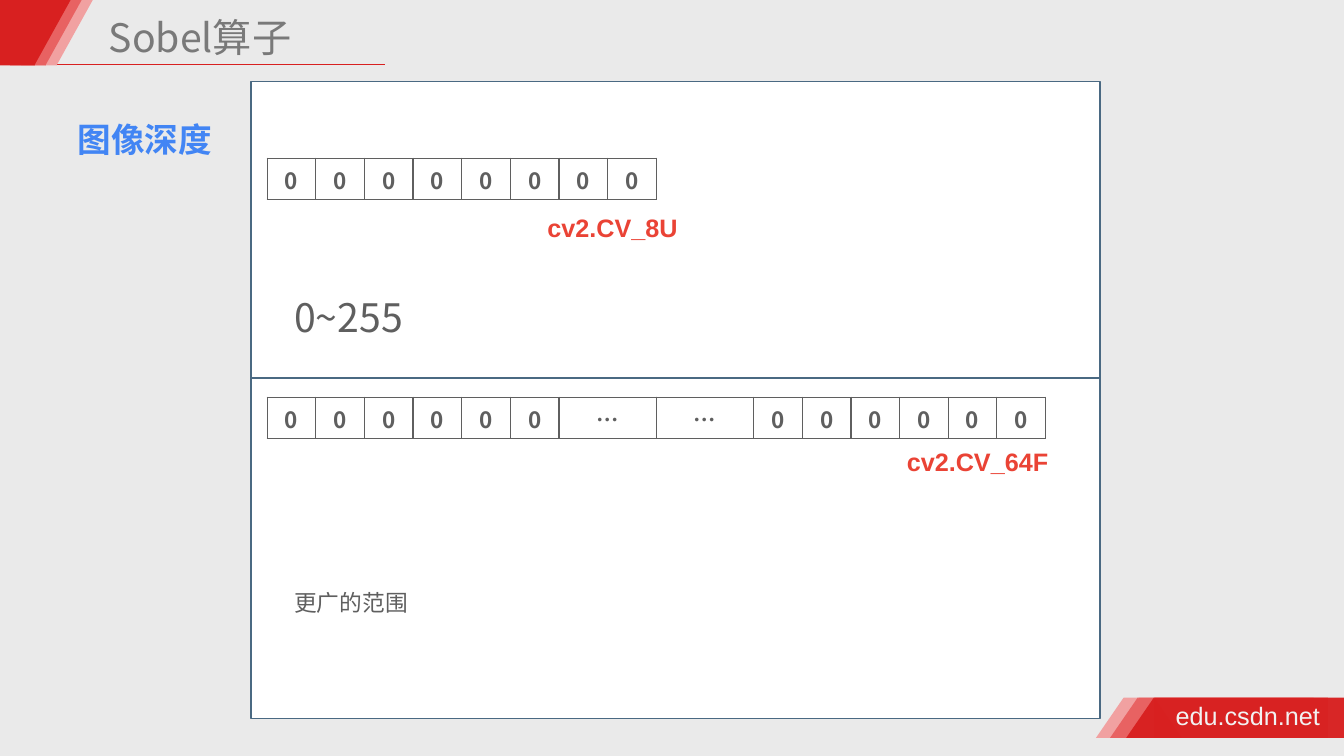
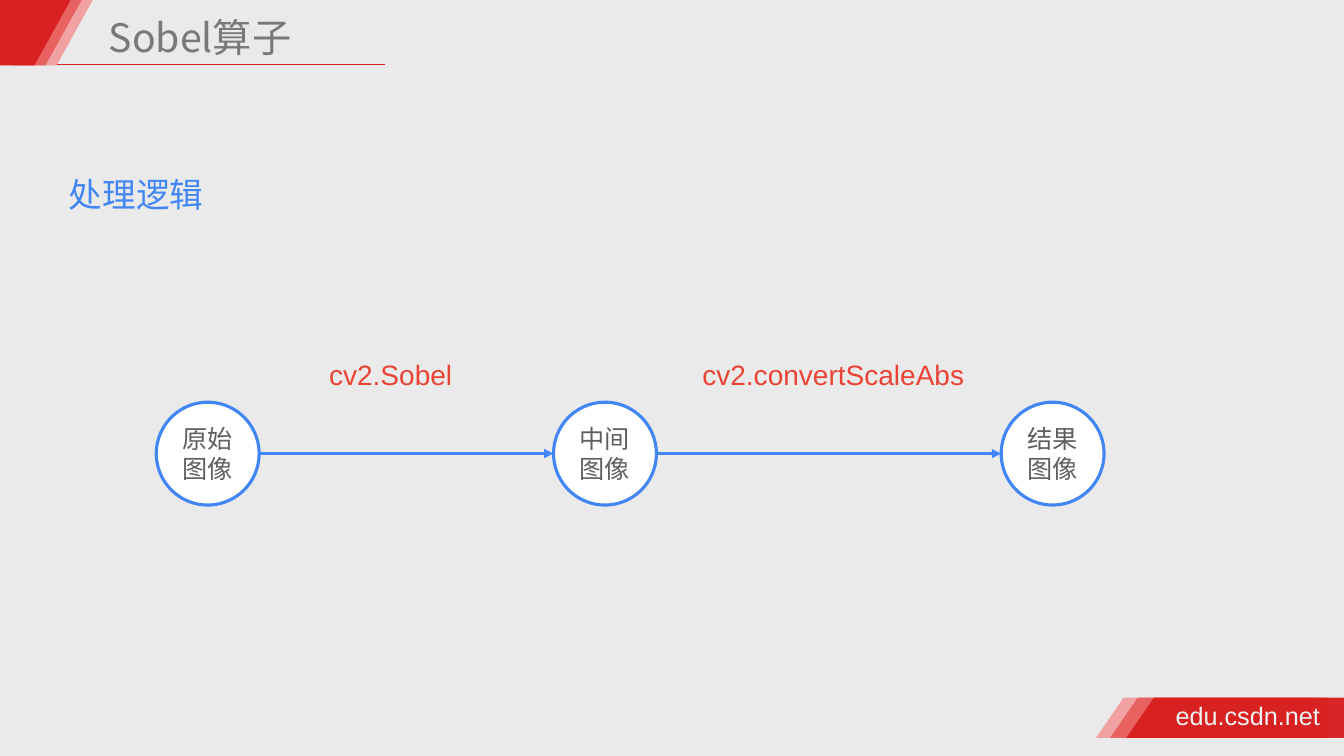
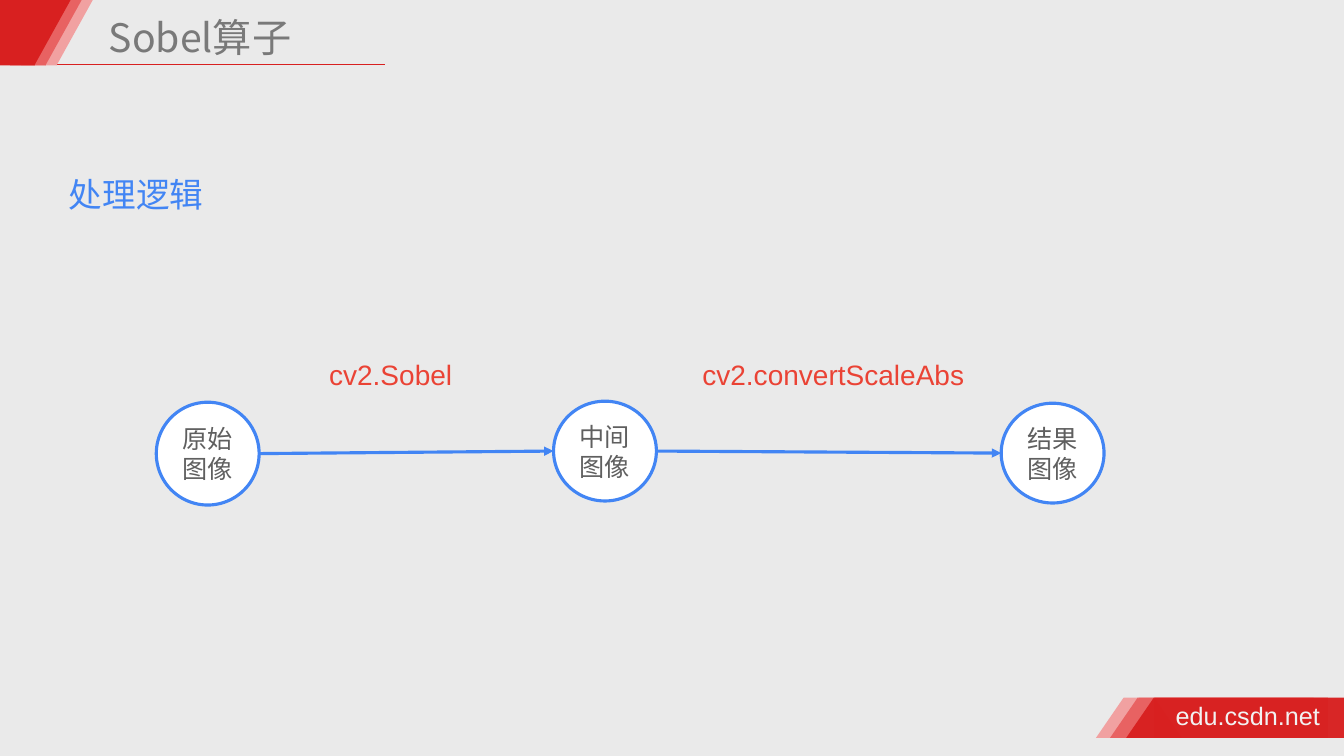
from typing import NamedTuple, Optional

from pptx import Presentation
from pptx.dml.color import RGBColor
from pptx.enum.shapes import MSO_CONNECTOR, MSO_SHAPE
from pptx.enum.text import MSO_ANCHOR, MSO_AUTO_SIZE, PP_ALIGN
from pptx.oxml.ns import qn
from pptx.util import Inches, Pt
from lxml.etree import SubElement

HEX = {
    "page": "EAEAEA", "white": "FFFFFF", "red": "D82020", "rose": "E86262",
    "pink": "F1A1A1", "pale": "F2F2F2", "title": "797979", "gray": "5F5F5F",
    "slate": "4A6982", "blue": "4285F4", "code": "EA4335",
}
CJK, LATIN = "Noto Sans CJK SC", "Arial"
TITLE = "Sobel算子"
BIT = 3.86 / 8  # width of one bit cell


class Box(NamedTuple):
    left: float
    top: float
    width: float
    height: float


class Node(NamedTuple):
    text: str
    box: Box

    @property
    def mid(self) -> float:
        return self.box.top + self.box.height / 2


class Bits(NamedTuple):
    left: float
    top: float
    text: str


def tint(name: str) -> RGBColor:
    return RGBColor.from_string(HEX[name])


def inch(box: Box) -> list:
    return [Inches(value) for value in box]


# Text
def write(frame, text: str, *, size: float, color: str, face: str = CJK,
          bold: bool = False, align=PP_ALIGN.LEFT, space: float = 1,
          base: int = 0, inset: Optional[float] = None,
          anchor=MSO_ANCHOR.TOP) -> None:
    frame.vertical_anchor = anchor
    if inset is not None:
        frame.margin_left = frame.margin_right = Inches(inset)
        frame.margin_top = frame.margin_bottom = Inches(inset)
    para = frame.paragraphs[0]
    para.alignment = align
    para.line_spacing = space
    run = para.add_run()
    run.text = text
    font = run.font
    font.size, font.bold, font.name = Pt(size), bold, face
    font.color.rgb = tint(color)
    props = run._r.get_or_add_rPr()
    SubElement(props, qn("a:ea")).set("typeface", face)
    if base:
        props.set("baseline", str(base * 1000))


def label(slide, box: Box, text: str, wrap: bool = True, **style):
    shape = slide.shapes.add_textbox(*inch(box))
    frame = shape.text_frame
    frame.word_wrap = wrap
    frame.auto_size = MSO_AUTO_SIZE.SHAPE_TO_FIT_TEXT
    write(frame, text, **style)
    return shape


# Shapes and lines
def draw(slide, kind, box: Box, fill: str, line: str = "",
         width: float = 1, alpha: int = 100):
    shape = slide.shapes.add_shape(kind, *inch(box))
    shape.shadow.inherit = False
    shape.fill.solid()
    shape.fill.fore_color.rgb = tint(fill)
    if alpha < 100:
        color = shape.element.spPr.find(qn("a:solidFill"))[0]
        SubElement(color, qn("a:alpha")).set("val", str(alpha * 1000))
    if line:
        shape.line.color.rgb = tint(line)
        shape.line.width = Pt(width)
    else:
        shape.line.fill.background()
    return shape


def link(slide, start: tuple, end: tuple, color: str, width: float,
         arrow: bool = False):
    points = [Inches(value) for value in (*start, *end)]
    line = slide.shapes.add_connector(MSO_CONNECTOR.STRAIGHT, *points)
    line.line.color.rgb = tint(color)
    line.line.width = Pt(width)
    props = line.element.spPr
    if arrow:
        SubElement(props.find(qn("a:ln")), qn("a:tailEnd")).set("type", "triangle")
    SubElement(props, qn("a:effectLst"))
    return line


# Shared frame: title band and footer, kept on the layout
def brand(slide, layout) -> None:
    parts = [link(slide, (0.49, 0.64), (3.82, 0.64), "red", 1)]
    bands = (("pink", 11.15, 0.2, 100), ("rose", 11.29, 0.09, 100),
             ("red", 11.45, -0.02, 97))
    for color, foot, _, alpha in bands:
        parts += [
            draw(slide, MSO_SHAPE.RECTANGLE, Box(foot, 6.92, 1.88, 0.4),
                 color, alpha=alpha),
            draw(slide, MSO_SHAPE.ISOSCELES_TRIANGLE,
                 Box(foot - 0.28, 6.92, 0.55, 0.4), color, alpha=alpha),
        ]
    for color, _, head, _ in bands:
        wedge = draw(slide, MSO_SHAPE.ISOSCELES_TRIANGLE,
                     Box(head, 0, 0.72, 0.65), color)
        wedge.rotation = 180
        parts += [draw(slide, MSO_SHAPE.RECTANGLE,
                       Box(head + 0.01, 0, 0.35, 0.65), color), wedge]
    parts.append(label(slide, Box(11.61, 6.9, 1.55, 0.4), "edu.csdn.net",
                       wrap=False, size=18, color="pale", face=LATIN,
                       inset=0.05))
    tree = layout.placeholders[0].element.getparent()
    for part in parts:
        tree.append(part.element)


def setup(deck):
    deck.slide_width, deck.slide_height = Inches(13.33), Inches(7.5)
    back = deck.slide_master.background.fill
    back.solid()
    back.fore_color.rgb = tint("page")
    layout = deck.slide_layouts[5]
    for spot in list(layout.placeholders):
        if spot.placeholder_format.idx:
            spot.element.getparent().remove(spot.element)
    head = layout.placeholders[0]
    head.left, head.top, head.width, head.height = inch(
        Box(1.03, 0.13, 3.09, 0.65))
    return layout


def start(deck, layout):
    slide = deck.slides.add_slide(layout)
    frame = slide.shapes.title.text_frame
    frame.auto_size = MSO_AUTO_SIZE.NONE
    write(frame, TITLE, size=28, color="title", space=0.9, inset=0.05)
    return slide


# Bit rows
def edge(cell) -> None:
    props = cell._tc.get_or_add_tcPr()
    for side in ("lnL", "lnR", "lnT", "lnB"):
        line = SubElement(props, qn(f"a:{side}"))
        line.set("w", str(Pt(1)))
        fill = SubElement(line, qn("a:solidFill"))
        SubElement(fill, qn("a:srgbClr")).set("val", HEX["gray"])


def grid(slide, bits: Bits) -> None:
    box = Box(bits.left, bits.top, 3.86, 0.41)
    table = slide.shapes.add_table(1, len(bits.text), *inch(box)).table
    table.first_row = table.horz_banding = False
    for col, mark in enumerate(bits.text):
        table.columns[col].width = Inches(BIT * (2 if mark == "…" else 1))
        cell = table.cell(0, col)
        edge(cell)
        cell.fill.background()
        cell.vertical_anchor = MSO_ANCHOR.MIDDLE
        write(cell.text_frame, mark, size=16, color="gray", bold=True,
              align=PP_ALIGN.CENTER, anchor=None)


# Image depth slide
def depth(slide) -> None:
    for top in (0.81, 3.75):
        draw(slide, MSO_SHAPE.RECTANGLE, Box(2.49, top, 8.42, 3.38),
             "white", "slate")
    label(slide, Box(0.67, 0.93, 2.15, 0.64), "图像深度", size=24,
          color="blue", bold=True, space=1.5)
    for bits in (Bits(2.65, 1.57, "0" * 8),
                 Bits(2.65, 3.94, "0" * 6 + "…"),
                 Bits(6.51, 3.94, "…" + "0" * 6)):
        grid(slide, bits)
    for text, left, top in (("cv2.CV_64F", 8.87, 4.38),
                            ("cv2.CV_8U", 5.25, 2.06)):
        label(slide, Box(left, top, 1.65, 0.4), text, size=18, color="code",
              face=LATIN, bold=True, align=PP_ALIGN.CENTER)
    for text, top, high, base in (("更广的范围", 5.51, 0.52, 30),
                                  ("0~255", 2.63, 0.72, 0)):
        label(slide, Box(2.82, top, 7.09, high), text, size=28,
              color="gray", space=1.5, base=base)


# Process flow slides
def flow(slide, nodes: list) -> None:
    label(slide, Box(0.13, 1.68, 2.44, 0.5), "处理逻辑", size=24,
          color="blue", align=PP_ALIGN.CENTER)
    for text, left, width in (("cv2.Sobel", 2.9, 1.95),
                              ("cv2.convertScaleAbs", 6.54, 3.45)):
        label(slide, Box(left, 3.5, width, 0.44), text, size=20,
              color="code", face=LATIN, align=PP_ALIGN.CENTER)
    for node in nodes:
        disc = draw(slide, MSO_SHAPE.OVAL, node.box, "white", "blue", 2.25)
        write(disc.text_frame, node.text, size=18, color="gray", inset=0.05,
              align=PP_ALIGN.CENTER, anchor=MSO_ANCHOR.MIDDLE)
    for one, two in zip(nodes, nodes[1:]):
        link(slide, (one.box.left + one.box.width, one.mid),
             (two.box.left, two.mid), "blue", 2.25, arrow=True)


def main() -> None:
    deck = Presentation()
    layout = setup(deck)
    first = start(deck, layout)
    brand(first, layout)
    depth(first)
    names = ("原始图像", "中间图像", "结果图像")
    lefts = (1.55, 5.49, 9.93)
    even = ((3.99, 1.02),) * 3
    tilt = ((3.99, 1.02), (3.98, 0.99), (4, 0.99))
    for spans in (even, tilt):
        nodes = [Node(name, Box(left, top, 1.02, high))
                 for name, left, (top, high) in zip(names, lefts, spans)]
        flow(start(deck, layout), nodes)
    deck.save("out.pptx")


if __name__ == "__main__":
    main()
